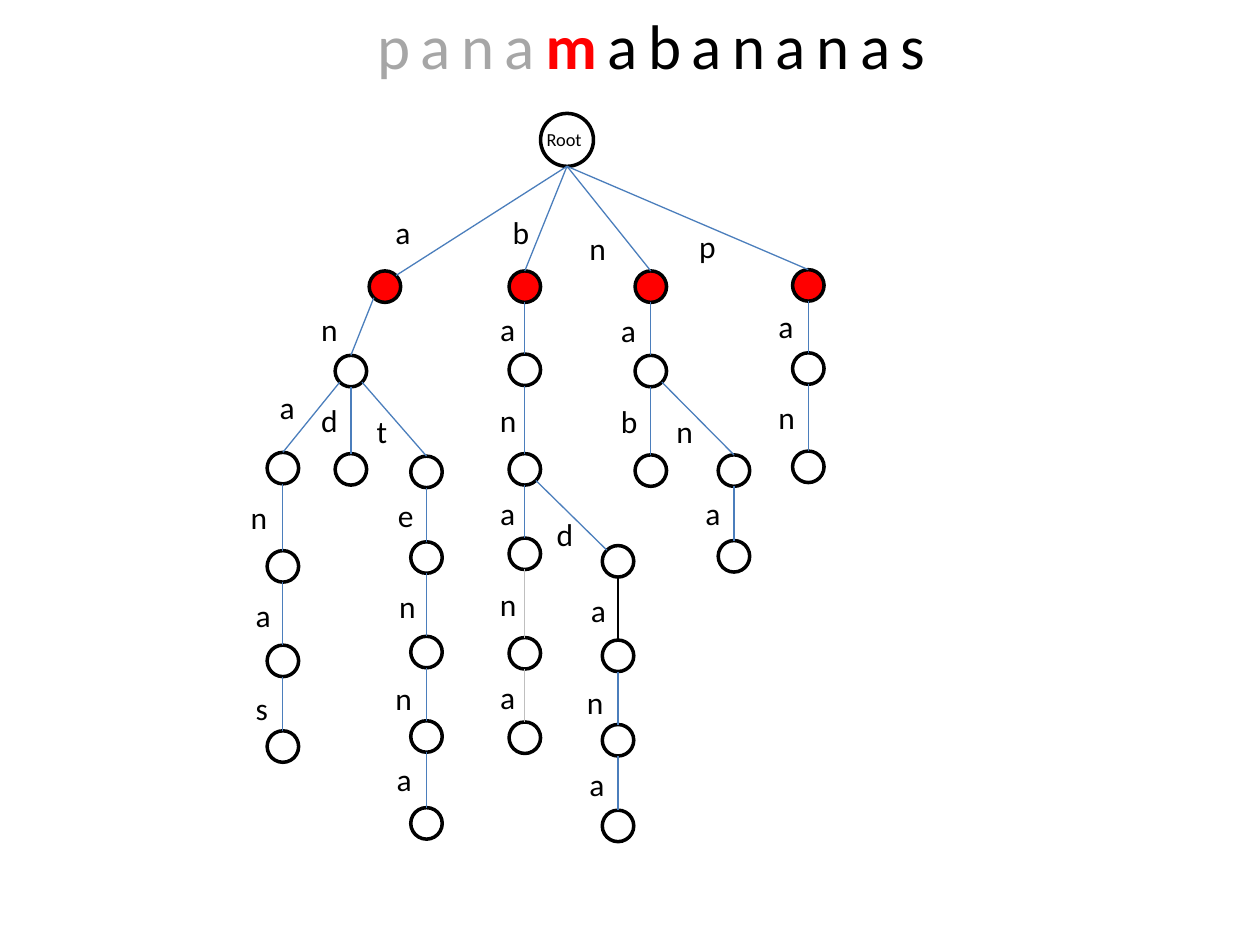
"""Draw the trie for panamabananas with its first-level nodes marked."""
from math import sqrt
from typing import NamedTuple

from lxml import etree
from pptx import Presentation
from pptx.dml.color import RGBColor
from pptx.enum.shapes import MSO_CONNECTOR, MSO_SHAPE
from pptx.enum.text import MSO_ANCHOR, MSO_AUTO_SIZE, PP_ALIGN
from pptx.oxml.ns import qn
from pptx.util import Inches, Pt

OVAL = MSO_SHAPE.OVAL
LINE = MSO_CONNECTOR.STRAIGHT
CENTER = PP_ALIGN.CENTER
MIDDLE = MSO_ANCHOR.MIDDLE
FIXED = MSO_AUTO_SIZE.NONE
FONT = "Calibri"
BLACK, WHITE, RED = "000000", "FFFFFF", "FF0000"
BLUE, GREY, PALE = "4B7EBC", "A6A6A6", "BFBFBF"
SIZE = 0.25
WIDTHS = {"a": 0.32, "e": 0.33, "s": 0.3, "t": 0.29}


class Node(NamedTuple):
    """A trie node, named by its prefix, with the place of its edge label."""
    key: str
    x: float
    y: float
    tag_x: float = 0
    tag_y: float = 0
    edge: str = BLUE
    corner: bool = False
    size: float = SIZE


ROOT = Node("", 4.29, 0.9, size=0.42)
NODES = [
    Node("a", 2.93, 2.15, 3.04, 1.64, corner=True),
    Node("an", 2.66, 2.82, 2.45, 2.41),
    Node("ana", 2.12, 3.59, 2.12, 3.03),
    Node("anan", 2.12, 4.37, 1.89, 3.9),
    Node("anana", 2.12, 5.12, 1.93, 4.68),
    Node("ananas", 2.12, 5.8, 1.93, 5.42),
    Node("and", 2.66, 3.6, 2.45, 3.13),
    Node("ant", 3.26, 3.62, 2.89, 3.22),
    Node("ante", 3.26, 4.3, 3.06, 3.89),
    Node("anten", 3.26, 5.05, 3.07, 4.61),
    Node("antenn", 3.26, 5.72, 3.04, 5.34),
    Node("antenna", 3.26, 6.41, 3.05, 5.98),
    Node("b", 4.04, 2.15, 3.97, 1.64),
    Node("ba", 4.04, 2.81, 3.87, 2.41),
    Node("ban", 4.04, 3.6, 3.87, 3.13),
    Node("bana", 4.04, 4.27, 3.87, 3.87),
    Node("banan", 4.04, 5.06, 3.87, 4.59, PALE),
    Node("banana", 4.04, 5.73, 3.87, 5.33, PALE),
    Node("band", 4.78, 4.33, 4.32, 4.04, corner=True),
    Node("banda", 4.78, 5.08, 4.59, 4.64, BLACK),
    Node("bandan", 4.78, 5.75, 4.56, 5.37),
    Node("bandana", 4.78, 6.43, 4.58, 6.02),
    Node("n", 5.04, 2.15, 4.58, 1.77),
    Node("na", 5.04, 2.82, 4.83, 2.42),
    Node("nab", 5.04, 3.61, 4.83, 3.14),
    Node("nan", 5.7, 3.61, 5.27, 3.22),
    Node("nana", 5.7, 4.29, 5.5, 3.87),
    Node("p", 6.29, 2.14, 5.45, 1.75),
    Node("pa", 6.29, 2.8, 6.08, 2.39),
    Node("pan", 6.29, 3.58, 6.08, 3.11),
]


def color(code: str) -> RGBColor:
    """Turn a hex string into a colour."""
    return RGBColor.from_string(code)


def style(run, size: float, code: str = BLACK, bold: bool = False) -> None:
    """Set the font of a run."""
    font = run.font
    font.name, font.size, font.bold = FONT, Pt(size), bold
    font.color.rgb = color(code)


def draw_tag(shapes, text: str, x: float, y: float, w: float, h: float,
             size: float, wrap: bool = False) -> None:
    """Add a label."""
    frame = shapes.add_textbox(Inches(x), Inches(y), Inches(w), Inches(h)).text_frame
    frame.text = text
    frame.word_wrap = wrap
    style(frame.paragraphs[0].runs[0], size)


def draw_node(shapes, node: Node) -> None:
    """Add the circle of a node, red on the first level."""
    side = Inches(node.size)
    ring = shapes.add_shape(OVAL, Inches(node.x), Inches(node.y), side, side)
    ring.shadow.inherit = False
    ring.fill.solid()
    ring.fill.fore_color.rgb = color(RED if len(node.key) == 1 else WHITE)
    ring.line.color.rgb = color(BLACK)
    ring.line.width = Pt(2)


def port(node: Node, way: int, down: int) -> tuple[float, float]:
    """Find the point on a circle's rim at the top, bottom or a diagonal."""
    half = node.size / 2
    reach = half / sqrt(2) if way else half
    return node.x + half + way * reach, node.y + half + down * reach


def draw_edge(shapes, up: Node, low: Node) -> None:
    """Join a parent to its child."""
    way = (low.x > up.x) - (low.x < up.x)
    start = port(up, way if up.key else 0, 1)
    end = port(low, -way if low.corner else 0, -1)
    edge = shapes.add_connector(LINE, *map(Inches, start + end))
    edge.line.color.rgb = color(low.edge)
    edge.line.width = Pt(0.75)
    etree.SubElement(edge._element.spPr, qn("a:effectLst"))


def draw_title(title) -> None:
    """Write the spaced word with its current letter in red."""
    title.left, title.top = Inches(2.67), Inches(0)
    title.width, title.height = Inches(5), Inches(0.71)
    frame = title.text_frame
    frame.auto_size, frame.vertical_anchor = FIXED, MIDDLE
    line = frame.paragraphs[0]
    line.alignment = CENTER
    for text, code in (("pana", GREY), ("m", RED), ("abananas", BLACK)):
        run = line.add_run()
        run.text = text
        style(run, 36, code, code == RED)
        run.font._element.set("spc", "600")


def main() -> None:
    """Build and save the slide."""
    deck = Presentation()
    deck.slide_width, deck.slide_height = Inches(10), Inches(7.5)
    slide = deck.slides.add_slide(deck.slide_layouts[5])
    draw_title(slide.shapes.title)
    shapes = slide.shapes.add_group_shape().shapes
    draw_node(shapes, ROOT)
    draw_tag(shapes, "Root", 4.24, 0.97, 0.55, 0.28, 10.5, True)
    tree = {node.key: node for node in [ROOT, *NODES]}
    for node in NODES:
        draw_node(shapes, node)
        draw_edge(shapes, tree[node.key[:-1]], node)
        text = node.key[-1]
        draw_tag(shapes, text, node.tag_x, node.tag_y, WIDTHS.get(text, 0.34), 0.4, 18)
    deck.save("out.pptx")


if __name__ == "__main__":
    main()
